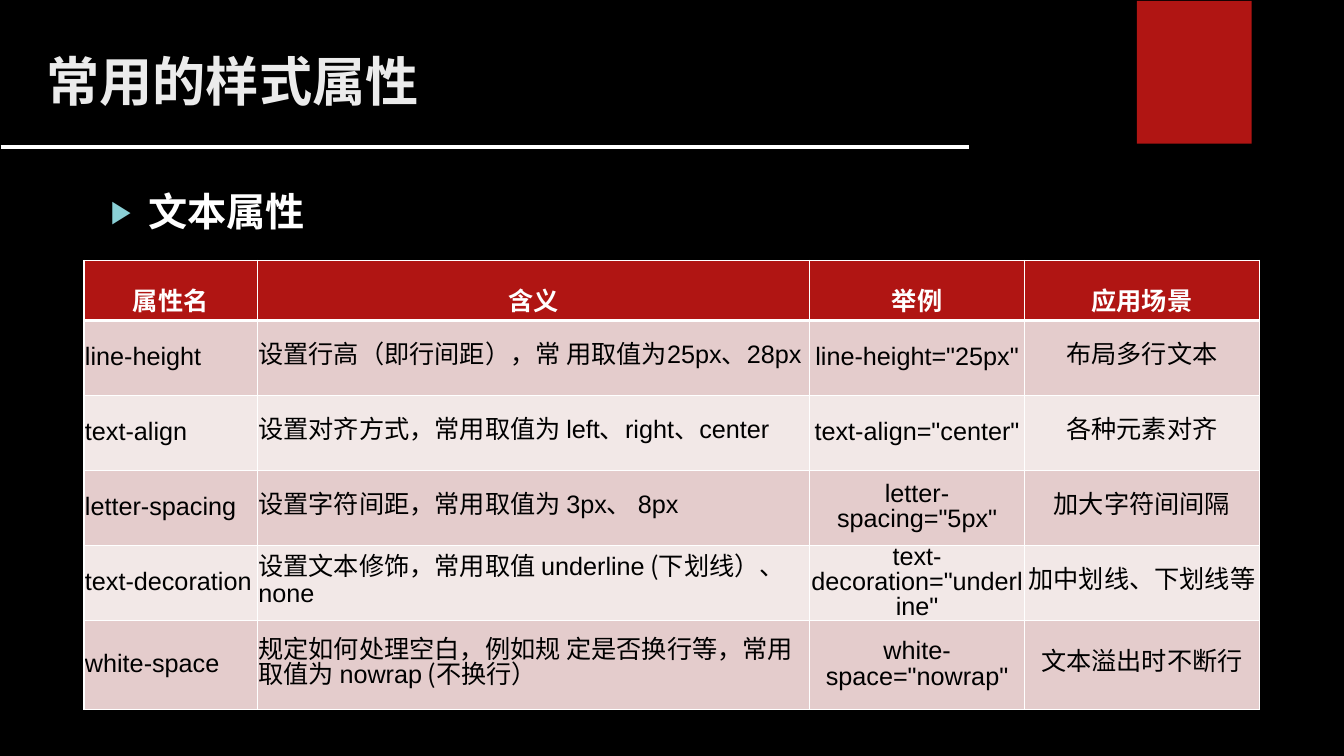
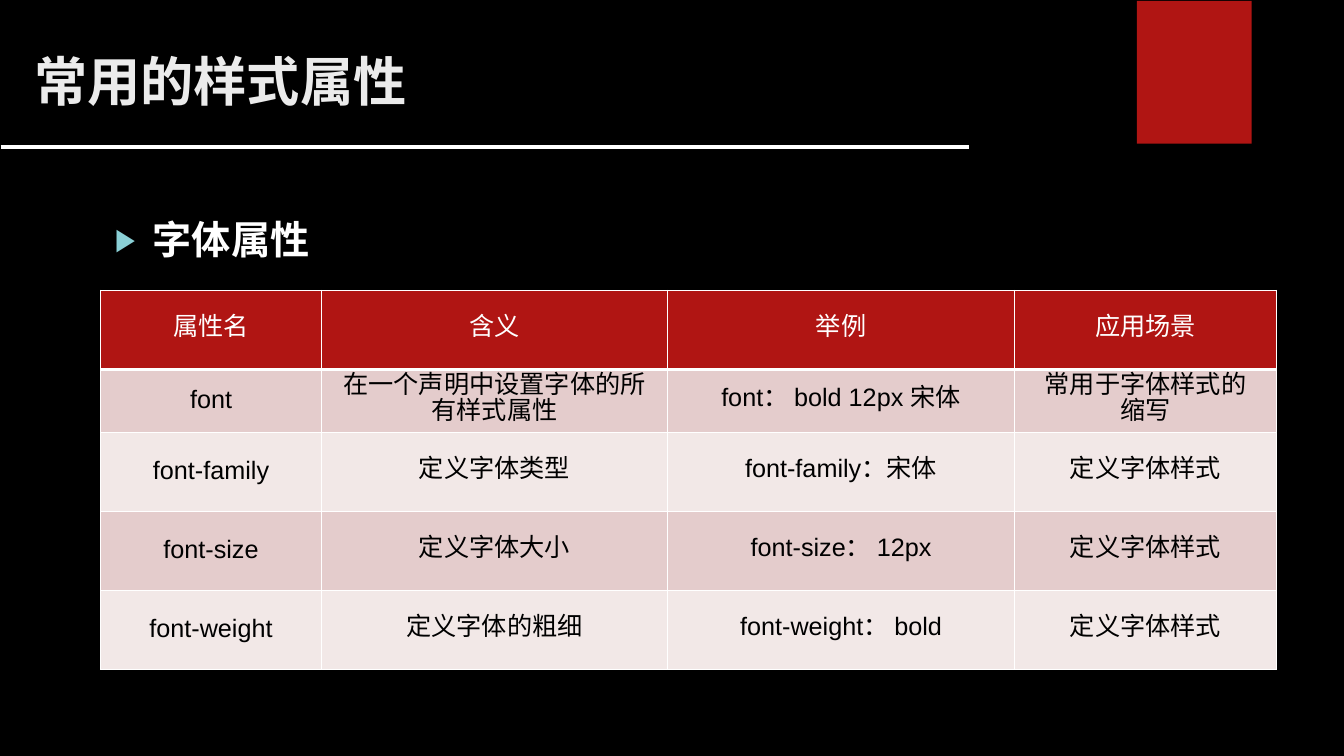
import dataclasses

import lxml.etree
import pptx
import pptx.dml.color
import pptx.enum.shapes
import pptx.enum.text
import pptx.oxml.ns
import pptx.util
from pptx.presentation import Presentation
from pptx.shapes.autoshape import Shape
from pptx.slide import Slide
from pptx.table import _Cell as Cell
from pptx.text.text import _Paragraph as Para

Pt = pptx.util.Pt
qn = pptx.oxml.ns.qn
ALIGN = pptx.enum.text.PP_ALIGN
ANCHOR = pptx.enum.text.MSO_ANCHOR

LATIN = "Arial"
HAN = "Noto Sans CJK SC"
BLACK = "000000"
WHITE = "FFFFFF"
RED = "B01513"
TITLE = "EBEBEB"
TEAL = "8AD0D6"
BANDS = ("E4CCCC", "F2E8E7")
SIDES = ("lnL", "lnR", "lnT", "lnB")


@dataclasses.dataclass
class Grid:
    """A table; in a cell, | parts two runs and a line break parts two paragraphs."""
    left: float
    top: float
    cols: list[float]
    rows: list[float]
    cells: list[list[str]]
    bold: bool = False
    lead: float | pptx.util.Length = Pt(18)
    flush: tuple[int, ...] = ()


@dataclasses.dataclass
class Page:
    title: str
    inset: float
    topic: str
    left: float
    top: float
    grid: Grid


PAGES = [
    Page("常用的样式属性", 15.7, "文本属性", 72, 134, Grid(
        60, 186,
        [123.8, 394.6, 153.4, 167.8],
        [43, 53.5, 53.5, 53.5, 54, 63.5],
        [
            ["属性名", "含义", "举例", "应用场景"],
            ["line-height", "设置行高（即行间距），常 用取值为|25px、28px",
             'line-height="25px"', "布局多行文本"],
            ["text-align", "设置对齐方式，常用取值为 |left、right、center",
             'text-align="center"', "各种元素对齐"],
            ["letter-spacing", "设置字符间距，常用取值为 |3px、 8px",
             'letter-spacing="5px"', "加大字符间间隔"],
            ["text-decoration", "设置文本修饰，常用取值 |underline| (下划线）、|none",
             'text-decoration="underline"', "加中划线、下划线等"],
            ["white-space", "规定如何处理空白，例如规 定是否换行等，常用取值为 |nowrap| (不换行）",
             'white-space="nowrap"', "文本溢出时不断行"],
        ],
        bold=True, lead=1.5, flush=(0, 1))),
    Page("常用的样式属性", 7.2, "字体属性", 75, 154, Grid(
        72, 207.5,
        [157.5, 247.5, 247.5, 187.5],
        [56.5, 45, 56.5, 56.5, 56.5],
        [
            ["属性名", "含义", "举例", "应用场景"],
            ["font", "在一个声明中设置字体的所\n有样式属性",
             "font： bold 12px 宋体", "常用于字体样式的\n缩写"],
            ["font-family", "定义字体类型", "font-family：宋体", "定义字体样式"],
            ["font-size", "定义字体大小", "font-size： 12px", "定义字体样式"],
            ["font-weight", "定义字体的粗细", "font-weight： bold", "定义字体样式"],
        ])),
]


def tint(code: str) -> pptx.dml.color.RGBColor:
    return pptx.dml.color.RGBColor.from_string(code)


def node(parent: lxml.etree._Element, tag: str, **attrs: str) -> lxml.etree._Element:
    return lxml.etree.SubElement(parent, qn("a:" + tag), attrs)


def face(text: str) -> str:
    """Pick the Latin font for text that holds ASCII letters or digits."""
    return LATIN if any(c.isascii() and c.isalnum() for c in text) else HAN


def style(para: Para, size: float, color: str, bold: bool) -> None:
    """Set the paragraph font, and a font on each run only where runs differ."""
    node(para._p.get_or_add_pPr().get_or_add_defRPr(), "ea", typeface=HAN)
    font = para.font
    font.size, font.bold = Pt(size), bold
    font.color.rgb = tint(color)
    names = [face(run.text) for run in para.runs]
    if len(set(names)) == 1:
        font.name = names[0]
    else:
        for run, name in zip(para.runs, names):
            run.font.name = name


def band(slide: Slide) -> None:
    """Draw the red tab and the rule under the title."""
    tab = slide.shapes.add_shape(pptx.enum.shapes.MSO_SHAPE.RECTANGLE,
                                 Pt(812), Pt(0.7), Pt(82), Pt(102))
    tab.shadow.inherit = False
    tab.fill.solid()
    tab.fill.fore_color.rgb = tint(RED)
    tab.line.fill.background()
    rule = slide.shapes.add_connector(pptx.enum.shapes.MSO_CONNECTOR.STRAIGHT,
                                      Pt(0.5), Pt(105), Pt(692), Pt(105))
    rule.line.color.rgb = tint(WHITE)
    rule.line.width = Pt(2.25)
    node(rule._element.spPr, "effectLst")


def label(slide: Slide, text: str, left: float, top: float, high: float) -> Shape:
    box = slide.shapes.add_textbox(Pt(left), Pt(top), Pt(780), Pt(high))
    box.text_frame.word_wrap = True
    para = box.text_frame.paragraphs[0]
    para.text = text
    para.line_spacing = 0.9
    return box


def head(slide: Slide, text: str, inset: float) -> None:
    frame = label(slide, text, 17.3, 36, 64).text_frame
    frame.margin_left = Pt(inset)
    style(frame.paragraphs[0], 38, TITLE, True)


def bullet(slide: Slide, page: Page) -> None:
    para = label(slide, page.topic, page.left, page.top, 48).text_frame.paragraphs[0]
    props = para._p.get_or_add_pPr()
    props.set("marL", str(Pt(27)))
    props.set("indent", str(-Pt(27)))
    node(node(props, "buClr"), "srgbClr", val=TEAL)
    node(props, "buSzPct", val="80000")
    node(props, "buFont", typeface=LATIN)
    node(props, "buChar", char="▶")
    style(para, 28, WHITE, True)


def edge(cell: Cell, row: int) -> None:
    """Give the cell white borders, thick between header and body."""
    props = cell._tc.get_or_add_tcPr()
    for side in SIDES:
        thick = (row, side) in ((0, "lnB"), (1, "lnT"))
        line = node(props, side, w=str(Pt(3 if thick else 1)))
        node(node(line, "solidFill"), "srgbClr", val=WHITE)


def fill(cell: Cell, text: str, row: int, col: int, grid: Grid) -> None:
    edge(cell, row)
    top = row == 0
    cell.fill.solid()
    cell.fill.fore_color.rgb = tint(RED if top else BANDS[(row - 1) % 2])
    cell.vertical_anchor = ANCHOR.MIDDLE
    cell.margin_left = cell.margin_right = Pt(0.7)
    cell.margin_top = cell.margin_bottom = 0
    frame = cell.text_frame
    for index, part in enumerate(text.split("\n")):
        para = frame.add_paragraph() if index else frame.paragraphs[0]
        for piece in part.split("|"):
            para.add_run().text = piece
        para.alignment = ALIGN.LEFT if col in grid.flush and not top else ALIGN.CENTER
        para.line_spacing = grid.lead if top else Pt(18)
        style(para, 18, WHITE if top else BLACK, top and grid.bold)


def table(slide: Slide, grid: Grid) -> None:
    sheet = slide.shapes.add_table(
        len(grid.rows), len(grid.cols), Pt(grid.left), Pt(grid.top),
        Pt(sum(grid.cols)), Pt(sum(grid.rows))).table
    for col, wide in zip(sheet.columns, grid.cols):
        col.width = Pt(wide)
    for row, high in zip(sheet.rows, grid.rows):
        row.height = Pt(high)
    for r, line in enumerate(grid.cells):
        for c, text in enumerate(line):
            fill(sheet.cell(r, c), text, r, c, grid)


def build(deck: Presentation, page: Page) -> None:
    slide = deck.slides.add_slide(deck.slide_layouts[6])
    slide.background.fill.solid()
    slide.background.fill.fore_color.rgb = tint(BLACK)
    band(slide)
    head(slide, page.title, page.inset)
    bullet(slide, page)
    table(slide, page.grid)


def main() -> None:
    deck = pptx.Presentation()
    deck.slide_width, deck.slide_height = Pt(960), Pt(540)
    for page in PAGES:
        build(deck, page)
    deck.save("out.pptx")


if __name__ == "__main__":
    main()
